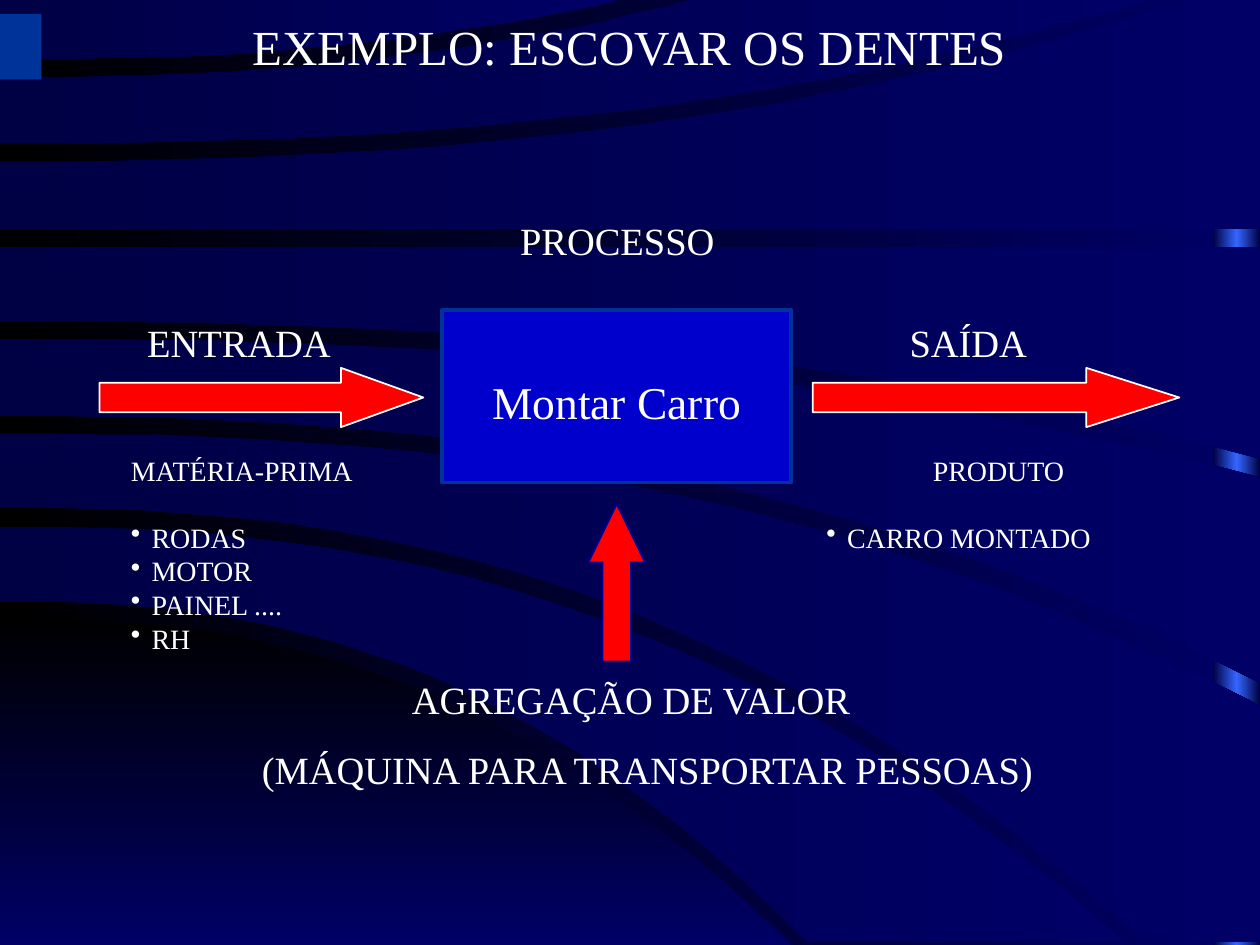
"""Build the process slide with its inputs, outputs and added value."""
import copy

import lxml.etree
import pptx
import pptx.dml.color
import pptx.enum.shapes
import pptx.enum.text
import pptx.oxml.ns
import pptx.util

COLORS = {"black": "000000", "night": "000044", "navy": "000066", "glow": "3366FF",
          "box": "0000CC", "edge": "003399", "red": "FF0000", "outline": "000099",
          "white": "FFFFFF"}
RGB = {k: pptx.dml.color.RGBColor.from_string(v) for k, v in COLORS.items()}
SHAPE = pptx.enum.shapes.MSO_SHAPE
CENTER = pptx.enum.text.PP_ALIGN.CENTER
LEFT = pptx.enum.text.PP_ALIGN.LEFT

prs = pptx.Presentation()
prs.slide_width, prs.slide_height = pptx.util.Inches(10), pptx.util.Inches(7.5)
s = prs.slides.add_slide(prs.slide_layouts[6])
col, row = prs.slide_width / 100, prs.slide_height / 75


def set_gradient(fill, names, angle=0):
    fill.gradient()
    fill.gradient_angle = angle
    for _ in names[2:]:
        gs = fill.gradient_stops[0]._gs
        gs.addnext(copy.deepcopy(gs))
    for i, (stop, name) in enumerate(zip(fill.gradient_stops, names)):
        stop.position = i / (len(names) - 1)
        stop.color.rgb = RGB[name]


def write(sp, lines, size, align=LEFT, wrap=False, **spacing):
    tf = sp.text_frame
    tf.word_wrap = wrap
    for i, line in enumerate(lines):
        p = tf.paragraphs[0] if i == 0 else tf.add_paragraph()
        r = p.add_run()
        r.text = line
        for key, value in {"name": "Times New Roman", "size": pptx.util.Pt(size)}.items():
            setattr(r.font, key, value)
        r.font.color.rgb = RGB["white"]
        for key, value in {"alignment": LEFT if i else align, **spacing}.items():
            setattr(p, key, value)
        if i:
            pPr = p._p.get_or_add_pPr()
            indent = round(1.65 * col)
            pPr.set("marL", str(indent))
            pPr.set("indent", str(-indent))
            lxml.etree.SubElement(pPr, pptx.oxml.ns.qn("a:buChar")).set("char", "•")
    if len(lines) > 1:
        tf.paragraphs[0].space_after = pptx.util.Pt(19)


set_gradient(s.background.fill, ["black", "navy"])

sp = s.shapes.add_shape(SHAPE.RECTANGLE, *(round(v * col) for v in (96.3, 0, 3.7, 75)))
sp.shadow.inherit = False
sp.line.fill.background()
set_gradient(sp.fill, ["night", "glow", "night"])

bend, steps = 2.4, 24
bands = [
    ((491, 628, 750), (750, 628, 750), "black", 270),
    ((418, 893, 748), (477, 642, 748), "night", 0),
    ((344, 1000, 560), (403, 909, 748), "night", 0),
    ((269, 1000, 379), (330, 1000, 542), "night", 0),
    ((196, 1000, 196), (255, 1000, 364), "night", 0),
    ((128, 940, 0), (182, 1000, 182), "night", 0),
    ((61, 548, 0), (114, 913, 0), "night", 0),
    ((0, 491, 0), (47, 491, 0), "night", 0),
]
for upper, lower, start, angle in bands:
    top, bottom = ([(round(end_x * i / steps), round(y + (end_y - y) * (i / steps) ** bend))
                    for i in range(steps + 1)] for y, end_x, end_y in (upper, lower))
    corner = (max(upper[1], lower[1]), min(upper, lower, key=lambda c: c[1])[2])
    points = top + [corner] + bottom[::-1]
    fb = s.shapes.build_freeform(*points[0], scale=col / 10)
    fb.add_line_segments(points[1:])
    sp = fb.convert_to_shape()
    sp.shadow.inherit = False
    sp.line.fill.background()
    set_gradient(sp.fill, [start, "navy"], angle)

blocks = [
    (SHAPE.RECTANGLE, (35.1, 24.6, 27.7, 13.7), "box", "edge", 2, None),
    (SHAPE.RIGHT_ARROW, (7.9, 29.2, 25.7, 4.7), "red", "white", 1, 1.39),
    (SHAPE.RIGHT_ARROW, (64.5, 29.2, 29.1, 4.7), "red", "white", 1, 1.57),
    (SHAPE.UP_ARROW, (46.7, 40, 4.5, 12.5), "red", "outline", 1, 1.03),
    (SHAPE.RECTANGLE, (0, 1.1, 3.3, 5.2), "edge", None, 0, None),
]
for kind, (x, y, w, h), fill, line, width, head in blocks:
    sp = s.shapes.add_shape(kind, *map(round, (x * col, y * row, w * col, h * row)))
    sp.shadow.inherit = False
    sp.fill.solid()
    sp.fill.fore_color.rgb = RGB[fill]
    if line:
        sp.line.color.rgb = RGB[line]
        sp.line.width = pptx.util.Pt(width)
    else:
        sp.line.fill.background()
    if head:
        sp.adjustments[1] = head
    if fill == "box":
        write(sp, ["Montar Carro"], 26, CENTER, line_spacing=1.2)

labels = [
    ((1.5, 0.8, 96.9, 5.7), ["EXEMPLO: ESCOVAR OS DENTES"], 28, CENTER, True),
    ((40.3, 16.7, 17.6, 4.7), ["PROCESSO"], 22, LEFT, False),
    ((10.7, 24.8, 16.7, 4.7), ["ENTRADA"], 22, LEFT, False),
    ((71.2, 24.8, 11.5, 4.7), ["SAÍDA"], 22, LEFT, False),
    ((9.4, 35.5, 19.8, 17.2),
     ["MATÉRIA-PRIMA", "RODAS", "MOTOR", "PAINEL ....", "RH"], 16, LEFT, False),
    ((64.6, 35.5, 29.3, 9), ["PRODUTO", "CARRO MONTADO"], 16, CENTER, True),
    ((31.7, 53.2, 37.2, 4.7), ["AGREGAÇÃO DE VALOR"], 22, LEFT, False),
    ((19.8, 58.7, 63.9, 4.7), ["(MÁQUINA PARA TRANSPORTAR PESSOAS)"], 22, LEFT, False),
]
for (x, y, w, h), lines, size, align, wrap in labels:
    sp = s.shapes.add_textbox(*map(round, (x * col, y * row, w * col, h * row)))
    write(sp, lines, size, align, wrap)

prs.save("out.pptx")
